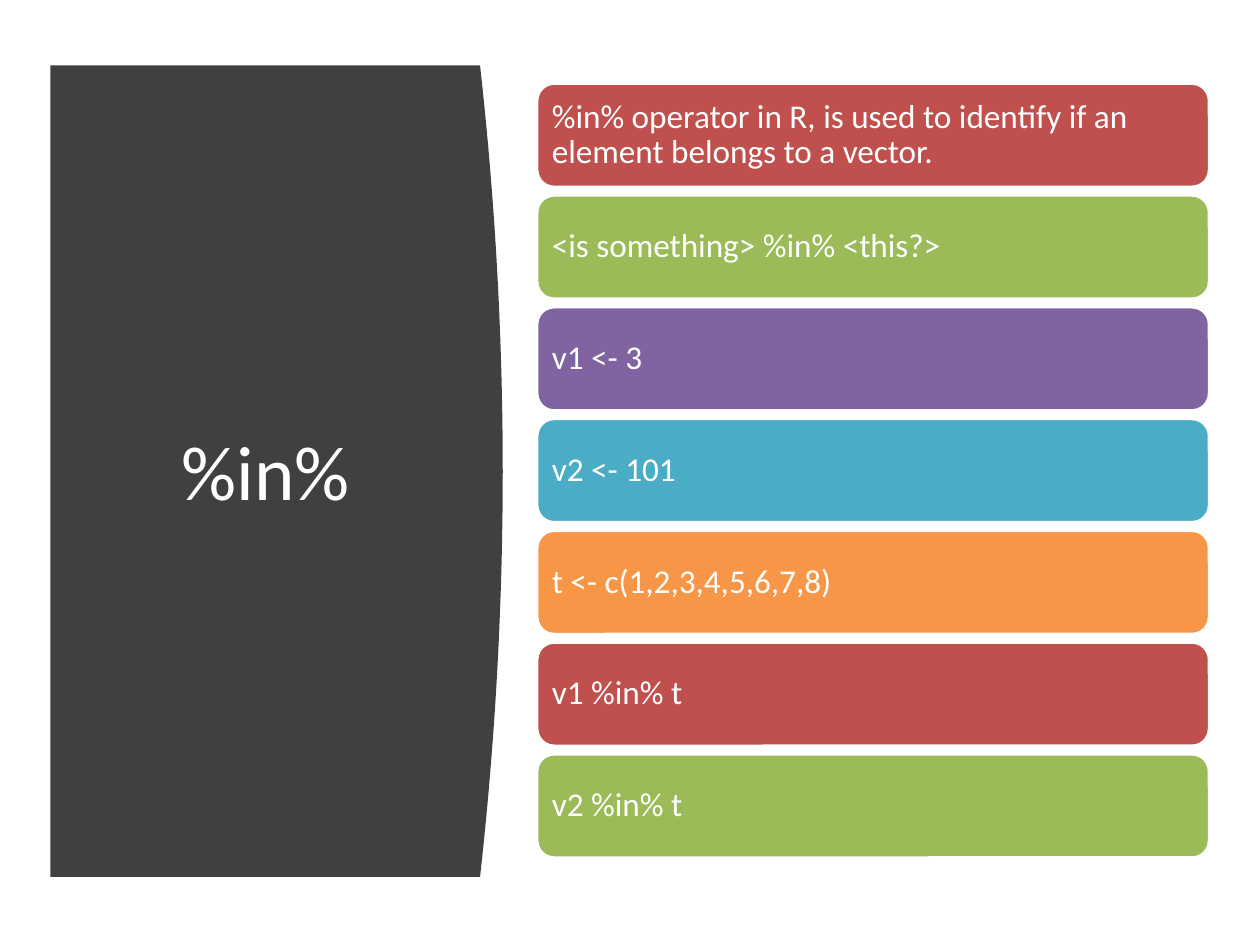
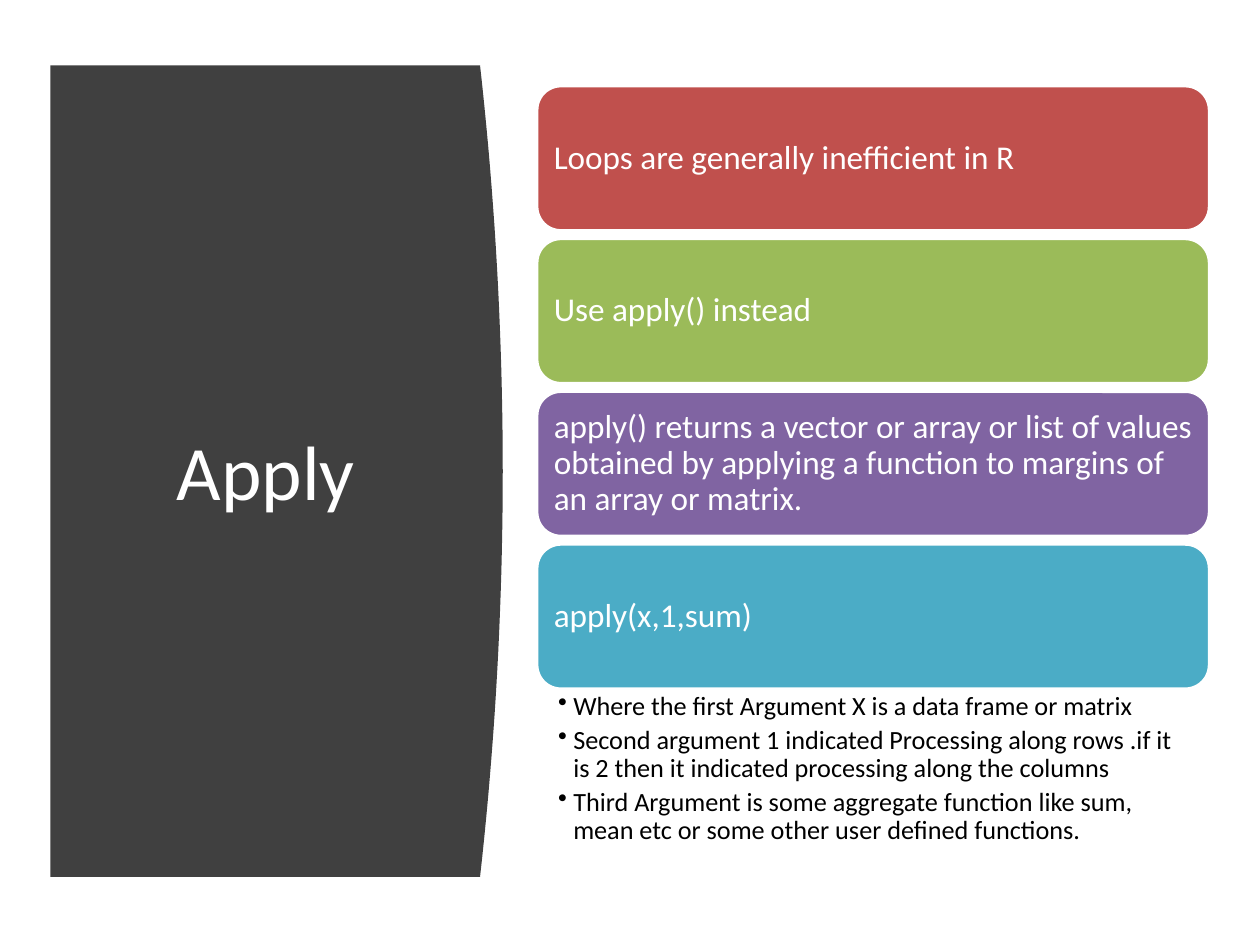
from dataclasses import dataclass
from itertools import cycle
from typing import Any

from lxml import etree
from pptx import Presentation
from pptx import util as u
from pptx.dml import color
from pptx.enum import shapes, text
from pptx.oxml import ns

ACCENTS = ("C0504D", "9BBB59", "8064A2", "4BACC6", "F79646")
PANEL_COLOR = "404040"
WHITE = "FFFFFF"
BLACK = "000000"
FONT = "Calibri"

PANEL_LEFT, PANEL_TOP, PANEL_BOTTOM = 0.4, 0.52, 6.96
PANEL_APEX, PANEL_BULGE = 3.99, 0.18
CURVE_STEPS = 40

CARD_LEFT, CARD_WIDTH, CARD_GAP = 4.26, 5.34, 0.06
BULLET_INDENT = 0.12


@dataclass(frozen=True)
class Box:
    left: float
    top: float
    width: float
    height: float

    def lengths(self) -> list[u.Length]:
        return [u.Inches(side) for side in (self.left, self.top, self.width, self.height)]


@dataclass(frozen=True)
class TextStyle:
    size: int
    color: str
    alignment: text.PP_ALIGN = text.PP_ALIGN.LEFT
    anchor: text.MSO_ANCHOR = text.MSO_ANCHOR.MIDDLE
    margins: tuple[float, float, float, float] = (0.08, 0.08, 0.08, 0.08)
    line_spacing: float = 0.9
    space_after: int = 0
    bullet: str = ""


@dataclass(frozen=True)
class Topic:
    title: str
    cards: tuple[str, ...]
    cards_top: float
    cards_bottom: float
    notes: tuple[str, ...] = ()


TITLE_BOX = Box(0.71, 1.11, 2.8, 5.24)
TITLE_STYLE = TextStyle(44, WHITE, text.PP_ALIGN.CENTER, margins=(0.1, 0.05, 0.1, 0.05), line_spacing=1.0)
CARD_STYLE = TextStyle(19, WHITE)
NOTES_STYLE = TextStyle(
    15, BLACK, anchor=text.MSO_ANCHOR.TOP, margins=(0.17, 0.03, 0.15, 0.03), space_after=3, bullet="•"
)
NOTES_HEIGHT = 1.31

TOPICS = (
    Topic(
        "%in%",
        (
            "%in% operator in R, is used to identify if an element belongs to a vector.",
            "<is something> %in% <this?>",
            "v1 <- 3",
            "v2 <- 101",
            "t <- c(1,2,3,4,5,6,7,8)",
            "v1 %in% t",
            "v2 %in% t",
        ),
        0.66,
        6.81,
    ),
    Topic(
        "Apply",
        (
            "Loops are generally inefficient in R",
            "Use apply() instead",
            "apply() returns a vector or array or list of values obtained by applying "
            "a function to margins of an array or matrix.",
            "apply(x,1,sum)",
        ),
        0.68,
        5.47,
        (
            "Where the first Argument X is a data frame or matrix",
            "Second argument 1 indicated Processing along rows .if it is 2 "
            "then it indicated processing along the columns",
            "Third Argument is some aggregate function like sum, mean etc "
            "or some other user defined functions.",
        ),
    ),
)


def rgb(value: str) -> color.RGBColor:
    return color.RGBColor.from_string(value)


def set_values(target: Any, values: dict[str, Any]) -> None:
    for name, value in values.items():
        setattr(target, name, value)


def paint(shape: Any, fill: str) -> None:
    shape.shadow.inherit = False
    shape.fill.solid()
    shape.fill.fore_color.rgb = rgb(fill)


def add_bullet(paragraph: Any, character: str) -> None:
    properties = paragraph._p.get_or_add_pPr()
    indent = u.Inches(BULLET_INDENT)
    properties.set("marL", str(indent))
    properties.set("indent", str(-indent))
    etree.SubElement(properties, ns.qn("a:buChar")).set("char", character)


def write(shape: Any, lines: tuple[str, ...], style: TextStyle) -> None:
    frame = shape.text_frame
    left, top, right, bottom = (u.Inches(margin) for margin in style.margins)
    set_values(frame, {
        "text": "\n".join(lines),
        "word_wrap": True,
        "vertical_anchor": style.anchor,
        "margin_left": left,
        "margin_top": top,
        "margin_right": right,
        "margin_bottom": bottom,
    })
    for paragraph in frame.paragraphs:
        if style.bullet:
            add_bullet(paragraph, style.bullet)
        set_values(paragraph, {
            "alignment": style.alignment,
            "line_spacing": style.line_spacing,
            "space_after": u.Pt(style.space_after),
        })
        set_values(paragraph.font, {"name": FONT, "size": u.Pt(style.size)})
        paragraph.font.color.rgb = rgb(style.color)


def add_text(slide: Any, box: Box, lines: tuple[str, ...], style: TextStyle) -> None:
    write(slide.shapes.add_textbox(*box.lengths()), lines, style)


def add_panel(slide: Any) -> None:
    outline = [(PANEL_LEFT, PANEL_TOP)]
    for step in range(CURVE_STEPS + 1):
        progress = step / CURVE_STEPS
        edge = PANEL_APEX - PANEL_BULGE * (2 * progress - 1) ** 2
        outline.append((edge, PANEL_TOP + progress * (PANEL_BOTTOM - PANEL_TOP)))
    outline.append((PANEL_LEFT, PANEL_BOTTOM))
    points = [(u.Inches(x), u.Inches(y)) for x, y in outline]
    builder = slide.shapes.build_freeform(*points[0])
    builder.add_line_segments(points[1:], close=True)
    panel = builder.convert_to_shape()
    paint(panel, PANEL_COLOR)
    panel.line.fill.background()


def add_card(slide: Any, box: Box, label: str, fill: str) -> None:
    card = slide.shapes.add_shape(shapes.MSO_SHAPE.ROUNDED_RECTANGLE, *box.lengths())
    paint(card, fill)
    card.line.color.rgb = rgb(WHITE)
    card.line.width = u.Pt(2)
    write(card, (label,), CARD_STYLE)


def add_cards(slide: Any, topic: Topic) -> None:
    pitch = (topic.cards_bottom - topic.cards_top + CARD_GAP) / len(topic.cards)
    for index, (label, fill) in enumerate(zip(topic.cards, cycle(ACCENTS))):
        box = Box(CARD_LEFT, topic.cards_top + index * pitch, CARD_WIDTH, pitch - CARD_GAP)
        add_card(slide, box, label, fill)


def add_topic_slide(presentation: Any, topic: Topic) -> None:
    slide = presentation.slides.add_slide(presentation.slide_layouts[6])
    add_panel(slide)
    add_text(slide, TITLE_BOX, (topic.title,), TITLE_STYLE)
    add_cards(slide, topic)
    if topic.notes:
        notes_box = Box(CARD_LEFT, topic.cards_bottom, CARD_WIDTH, NOTES_HEIGHT)
        add_text(slide, notes_box, topic.notes, NOTES_STYLE)


def main() -> None:
    presentation = Presentation()
    set_values(presentation, {"slide_width": u.Inches(10), "slide_height": u.Inches(7.5)})
    for topic in TOPICS:
        add_topic_slide(presentation, topic)
    presentation.save("out.pptx")


if __name__ == "__main__":
    main()
